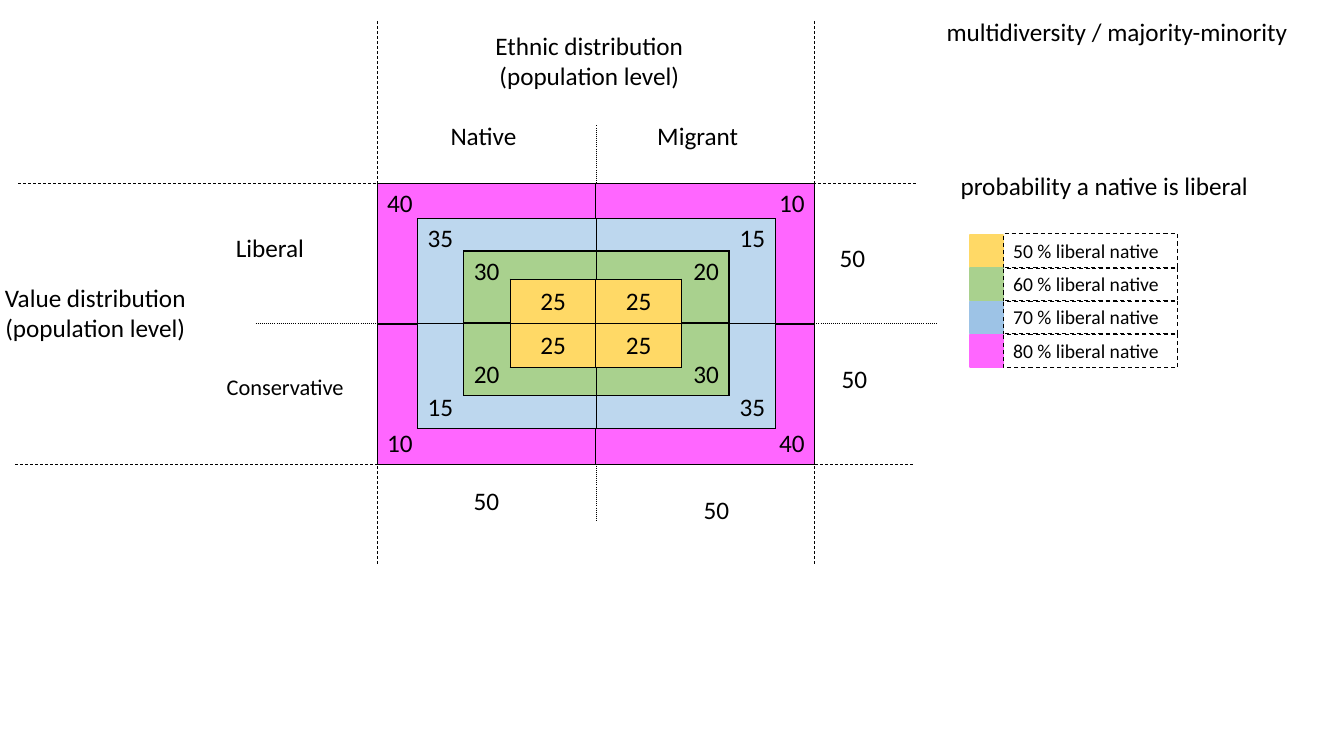
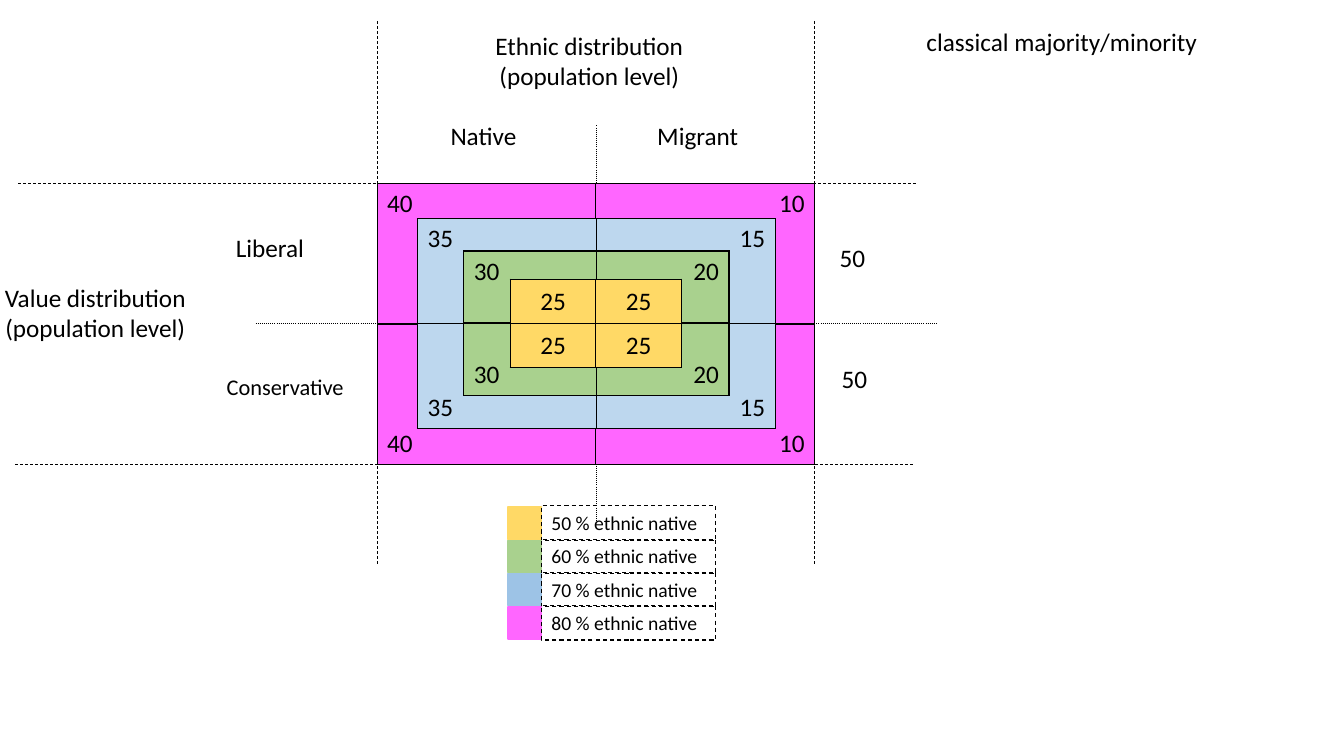
from dataclasses import dataclass

from lxml.etree import SubElement
from pptx import Presentation
from pptx.dml.color import RGBColor
from pptx.enum.dml import MSO_LINE
from pptx.enum.shapes import MSO_CONNECTOR, MSO_SHAPE
from pptx.enum.text import MSO_ANCHOR, MSO_AUTO_SIZE, PP_ALIGN
from pptx.oxml.ns import qn
from pptx.util import Pt

PX = 9144


@dataclass(frozen=True)
class Theme:
    font: str = "Calibri"
    ink: str = "000000"
    paper: str = "FFFFFF"
    yellow: str = "FFD966"
    green: str = "A9D18E"
    pale_blue: str = "BDD7EE"
    blue: str = "9DC3E6"
    pink: str = "FF66FF"
    body: int = 18
    small: int = 16
    legend: int = 14
    guide: float = 0.5
    frame: float = 0.75
    grid: float = 1


T = Theme()

RINGS = [
    (40, T.pink, (374, 182, 434, 279)),
    (35, T.pale_blue, (414, 217, 355, 208)),
    (30, T.green, (460, 249, 263, 143)),
    (25, T.yellow, (506, 277, 170, 88)),
]
LEGEND = [(50, T.yellow), (60, T.green), (70, T.blue), (80, T.pink)]
LABELS = [
    ("Liberal", (224, 226, 127, 40), {}),
    ("Conservative", (215, 365, 142, 37), {"size": T.small}),
    ("50", (823, 235, 66, 40), {}),
    ("50", (825, 356, 46, 40), {"wrap": False}),
    ("Migrant", (642, 114, 101, 40), {"wrap": False}),
    ("Native", (437, 114, 100, 40), {}),
    ("Value distribution (population level)", (-45, 275, 279, 71), {"align": PP_ALIGN.CENTER}),
    ("Ethnic distribution (population level)", (445, 25, 279, 71), {"align": PP_ALIGN.CENTER}),
]
GUIDES = [
    (374, 21, 374, 560),
    (808, 21, 808, 560),
    (18, 182, 909, 182),
    (15, 461, 906, 461),
]


def rgb(color):
    return RGBColor.from_string(color)


def emu(box):
    return [v * PX for v in box]


def write(tf, text, size=T.body, align=PP_ALIGN.LEFT):
    p = tf.paragraphs[0]
    p.alignment = align
    r = p.add_run()
    r.text = text
    r.font.name = T.font
    r.font.size = Pt(size)
    r.font.color.rgb = rgb(T.ink)


def set_line(line, color, width, dash=None):
    line.color.rgb = rgb(color)
    line.width = Pt(width)
    if dash:
        line.dash_style = dash


def add_text(s, text, box, wrap=True, framed=False, **fmt):
    sp = s.shapes.add_textbox(*emu(box))
    tf = sp.text_frame
    tf.word_wrap = wrap
    tf.auto_size = MSO_AUTO_SIZE.SHAPE_TO_FIT_TEXT
    write(tf, text, **fmt)
    if framed:
        set_line(sp.line, T.ink, T.frame, MSO_LINE.DASH)


def add_guide(s, ends):
    line = s.shapes.add_connector(MSO_CONNECTOR.STRAIGHT, *emu(ends))
    set_line(line.line, T.ink, T.guide, MSO_LINE.DASH)
    SubElement(line._element.spPr, qn("a:effectLst"))


def add_swatch(s, box, color):
    sp = s.shapes.add_shape(MSO_SHAPE.RECTANGLE, *emu(box))
    sp.shadow.inherit = False
    sp.fill.solid()
    sp.fill.fore_color.rgb = rgb(color)
    set_line(sp.line, color, T.grid)


def set_borders(cell, sides, dash):
    tc_pr = cell._tc.get_or_add_tcPr()
    for side in sides:
        ln = SubElement(tc_pr, qn(f"a:ln{side}"), w=str(Pt(T.grid)))
        fill = SubElement(ln, qn("a:solidFill"))
        SubElement(fill, qn("a:srgbClr"), val=T.ink)
        SubElement(ln, qn("a:prstDash"), val=dash)


def add_quadrants(s, box, color, dash="solid", inner_only=False):
    table = s.shapes.add_table(2, 2, *emu(box)).table
    table.first_row = table.horz_banding = False
    for row in range(2):
        for col in range(2):
            cell = table.cell(row, col)
            sides = ("RL"[col], "BT"[row]) if inner_only else "LRTB"
            set_borders(cell, sorted(sides, key="LRTB".index), dash)
            cell.fill.solid()
            cell.fill.fore_color.rgb = rgb(color)
    return table


def add_ring(s, share, color, box, mirrored):
    table = add_quadrants(s, box, color)
    top = [share, 50 - share]
    rows = [top, top[::-1] if mirrored else top]
    centred = share == 25
    for row, values in enumerate(rows):
        for col, value in enumerate(values):
            cell = table.cell(row, col)
            align = PP_ALIGN.CENTER if centred else (PP_ALIGN.LEFT, PP_ALIGN.RIGHT)[col]
            cell.vertical_anchor = (
                MSO_ANCHOR.MIDDLE if centred else (MSO_ANCHOR.TOP, MSO_ANCHOR.BOTTOM)[row]
            )
            write(cell.text_frame, str(value), align=align)


def add_legend(s, x, y, group):
    for i, (percent, color) in enumerate(LEGEND):
        top = y + 33 * i
        add_swatch(s, (x, top + 1, 33, 32), color)
        add_text(s, f"{percent} % {group} native", (x + 33, top, 173, 34),
                 framed=True, size=T.legend)


def add_diagram(prs, mirrored):
    s = prs.slides.add_slide(prs.slide_layouts[6])
    add_quadrants(s, (254, 125, 675, 392), T.paper, dash="sysDot", inner_only=True)
    for ring in RINGS:
        add_ring(s, *ring, mirrored)
    for text, box, fmt in LABELS:
        add_text(s, text, box, **fmt)
    for ends in GUIDES:
        add_guide(s, ends)
    return s


def main():
    prs = Presentation()
    prs.slide_width, prs.slide_height = emu((1333, 750))

    s = add_diagram(prs, mirrored=True)
    for box in ((460, 477, 46, 40), (688, 485, 46, 40)):
        add_text(s, "50", box, wrap=False)
    add_legend(s, 962, 232, "liberal")
    add_text(s, "probability a native is liberal", (943, 164, 383, 40))
    add_text(s, "multidiversity / majority-minority", (929, 11, 383, 40))

    s = add_diagram(prs, mirrored=False)
    add_legend(s, 504, 502, "ethnic")
    add_text(s, "classical majority/minority", (909, 21, 406, 40))

    prs.save("out.pptx")


if __name__ == "__main__":
    main()
